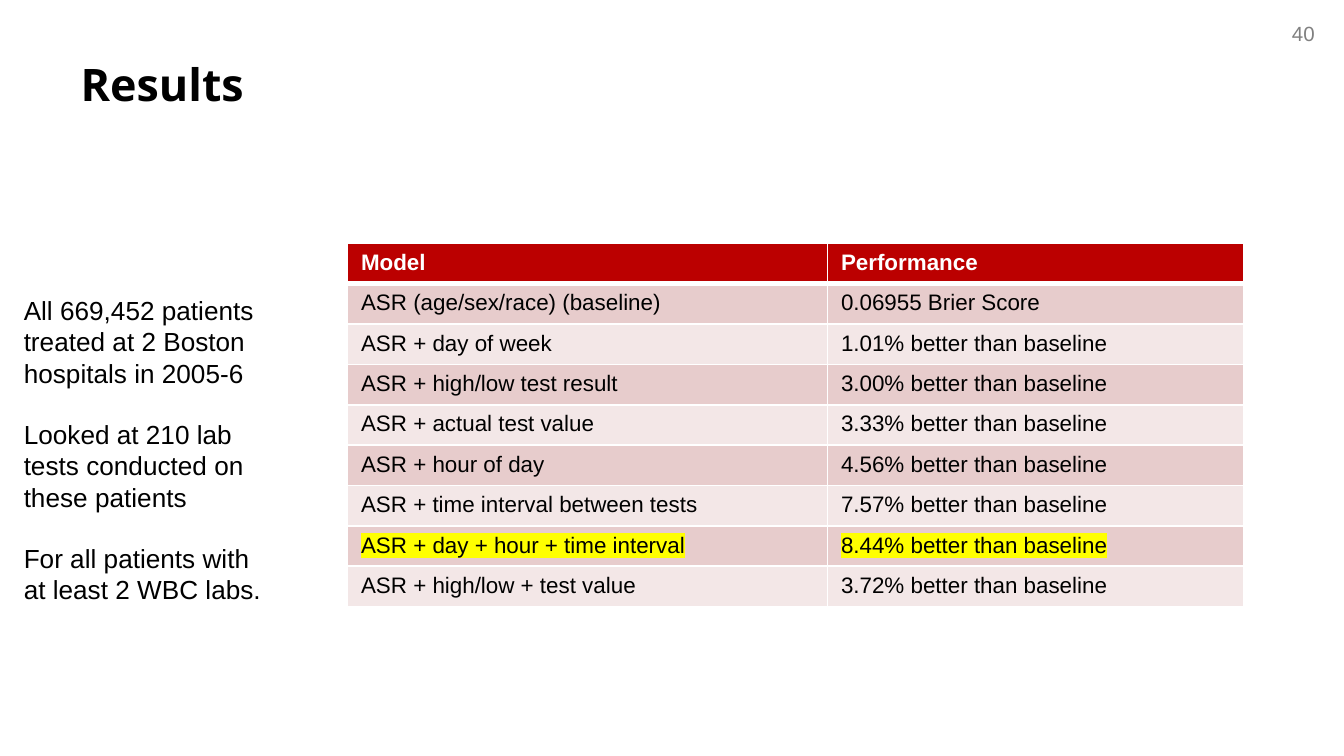
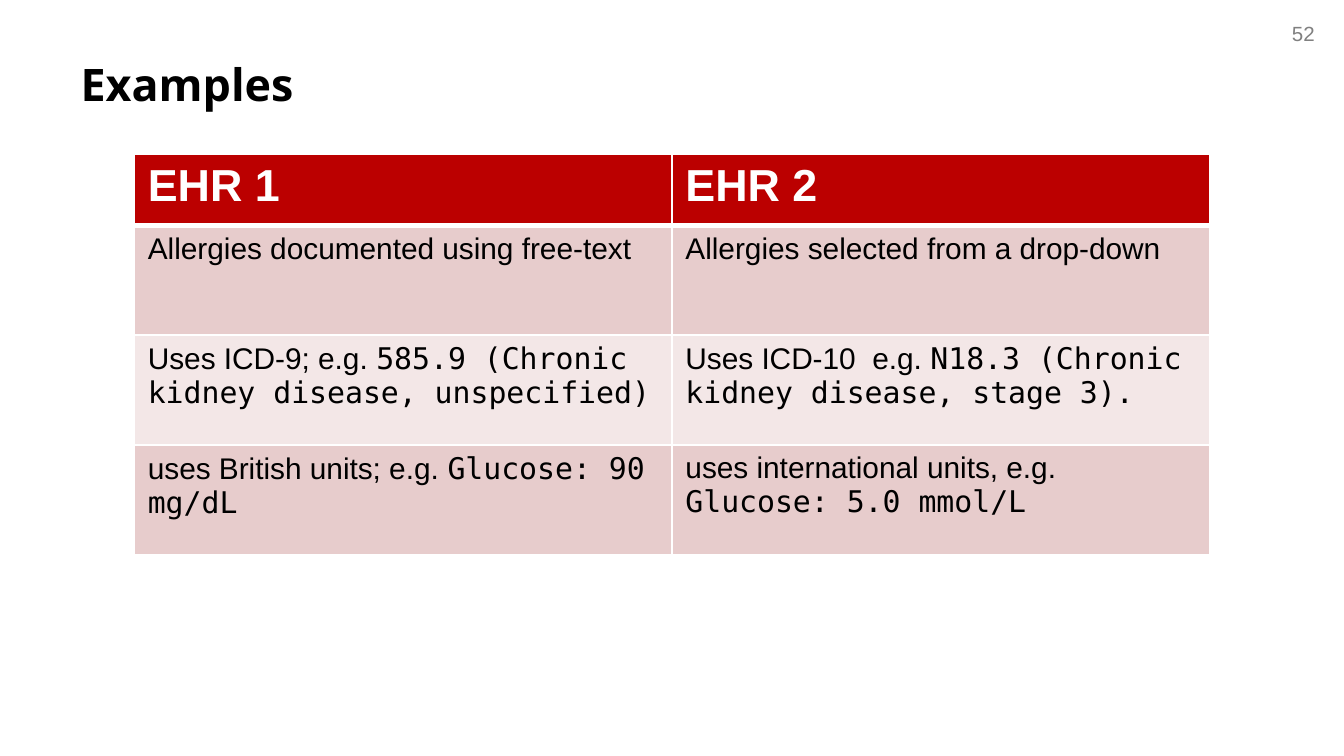
from lxml.etree import SubElement
from pptx import Presentation
from pptx.dml.color import RGBColor
from pptx.enum.text import MSO_ANCHOR as Anchor, PP_ALIGN as Align
from pptx.oxml.ns import qn
from pptx.util import Cm, Pt

BODY, HEADING, CODE = "Arial", "Open Sans", "DejaVu Sans Mono"
BLACK, WHITE, GREY = "000000", "FFFFFF", "808080"
RED, BANDS, YELLOW = "BB0000", ("F3E7E7", "E7CCCC"), "FFFF00"

COHORT = [
    "All 669,452 patients treated at 2 Boston hospitals in 2005-6",
    "Looked at 210 lab tests conducted on these patients",
    "For all patients with at least 2 WBC labs.",
]
MODELS = [
    ("Model", "Performance"),
    ("ASR (age/sex/race) (baseline)", "0.06955 Brier Score"),
    ("ASR + day of week", "1.01% better than baseline"),
    ("ASR + high/low test result", "3.00% better than baseline"),
    ("ASR + actual test value", "3.33% better than baseline"),
    ("ASR + hour of day", "4.56% better than baseline"),
    ("ASR + time interval between tests", "7.57% better than baseline"),
    ("ASR + day + hour + time interval", "8.44% better than baseline"),
    ("ASR + high/low + test value", "3.72% better than baseline"),
]
BEST_MODEL = 7
RECORDS = [
    ("EHR 1", "EHR 2"),
    ("Allergies documented using free-text", "Allergies selected from a drop-down"),
    (("Uses ICD-9; e.g. ", "585.9 (Chronic kidney disease, unspecified)"),
     ("Uses ICD-10  e.g. ", "N18.3 (Chronic kidney disease, stage 3).")),
    (("uses British units; e.g. ", "Glucose: 90 mg/dL"),
     ("uses international units, e.g. ", "Glucose: 5.0 mmol/L")),
]


def rgb(value):
    return RGBColor.from_string(value)


def style(font, size, color=BLACK, name=BODY, bold=False):
    font.size, font.name, font.bold = Pt(size), name, bold
    font.color.rgb = rgb(color)


def highlight(run):
    props = run.font._element
    mark = SubElement(props, qn("a:highlight"))
    SubElement(mark, qn("a:srgbClr"), val=YELLOW)
    props.find(qn("a:solidFill")).addnext(mark)


def set_borders(cell, row):
    props = cell._tc.get_or_add_tcPr()
    thick = {(0, "B"), (1, "T")}
    for place, side in enumerate("LRTB"):
        width = Pt(3 if (row, side) in thick else 1)
        line = SubElement(props, qn(f"a:ln{side}"), w=str(width))
        fill = SubElement(line, qn("a:solidFill"))
        SubElement(fill, qn("a:srgbClr"), val=WHITE)
        props.insert(place, line)


def add_text(slide, paragraphs, box, size, color=BLACK, align=Align.LEFT, gap=0):
    frame = slide.shapes.add_textbox(*map(Cm, box)).text_frame
    frame.word_wrap = True
    frame.text = "\n".join(paragraphs)
    for index, paragraph in enumerate(frame.paragraphs):
        paragraph.alignment = align
        paragraph.space_before = Pt(gap if index else 0)
        style(paragraph.runs[0].font, size, color)


def add_slide(deck, heading, number):
    slide = deck.slides.add_slide(deck.slide_layouts[5])
    title = slide.shapes.title
    title.left, title.top, title.width, title.height = map(Cm, (1.27, 1.02, 22.86, 1.7))
    frame = title.text_frame
    frame.text = heading
    frame.vertical_anchor, frame.margin_top = Anchor.TOP, Cm(0.05)
    frame.paragraphs[0].alignment = Align.LEFT
    style(frame.paragraphs[0].runs[0].font, 24, name=HEADING, bold=True)
    add_text(slide, [number], (23.7, 0.28, 1.4, 0.74), 11, GREY, Align.RIGHT)
    return slide


def add_grid(slide, rows, left, top, widths, heights, head_size, size, marked=None):
    table = slide.shapes.add_table(
        len(rows), len(widths), Cm(left), Cm(top), Cm(sum(widths)), Cm(sum(heights))
    ).table
    for column, width in zip(table.columns, widths):
        column.width = Cm(width)
    for row, (contents, height) in enumerate(zip(rows, heights)):
        table.rows[row].height = Cm(height)
        for col, content in enumerate(contents):
            cell = table.cell(row, col)
            cell.fill.solid()
            cell.fill.fore_color.rgb = rgb(BANDS[row % 2] if row else RED)
            set_borders(cell, row)
            parts = (content,) if isinstance(content, str) else content
            for part, font_name in zip(parts, (BODY, CODE)):
                run = cell.text_frame.paragraphs[0].add_run()
                run.text = part
                if row:
                    style(run.font, size, name=font_name)
                else:
                    style(run.font, head_size, WHITE, bold=True)
                if row == marked:
                    highlight(run)


def main():
    deck = Presentation()
    deck.slide_width, deck.slide_height = Cm(25.4), Cm(14.29)

    results = add_slide(deck, "Results", "40")
    add_grid(results, MODELS, 6.57, 4.6, (9.07, 7.87), [0.69] * len(MODELS),
             12, 12, BEST_MODEL)
    add_text(results, COHORT, (0.2, 5.44, 5.28, 6.25), 14, gap=16)

    examples = add_slide(deck, "Examples", "52")
    add_grid(examples, RECORDS, 2.54, 2.92, (10.16, 10.16), (1.35, 2.06, 2.08, 2.08), 24, 16)

    deck.save("out.pptx")


if __name__ == "__main__":
    main()
